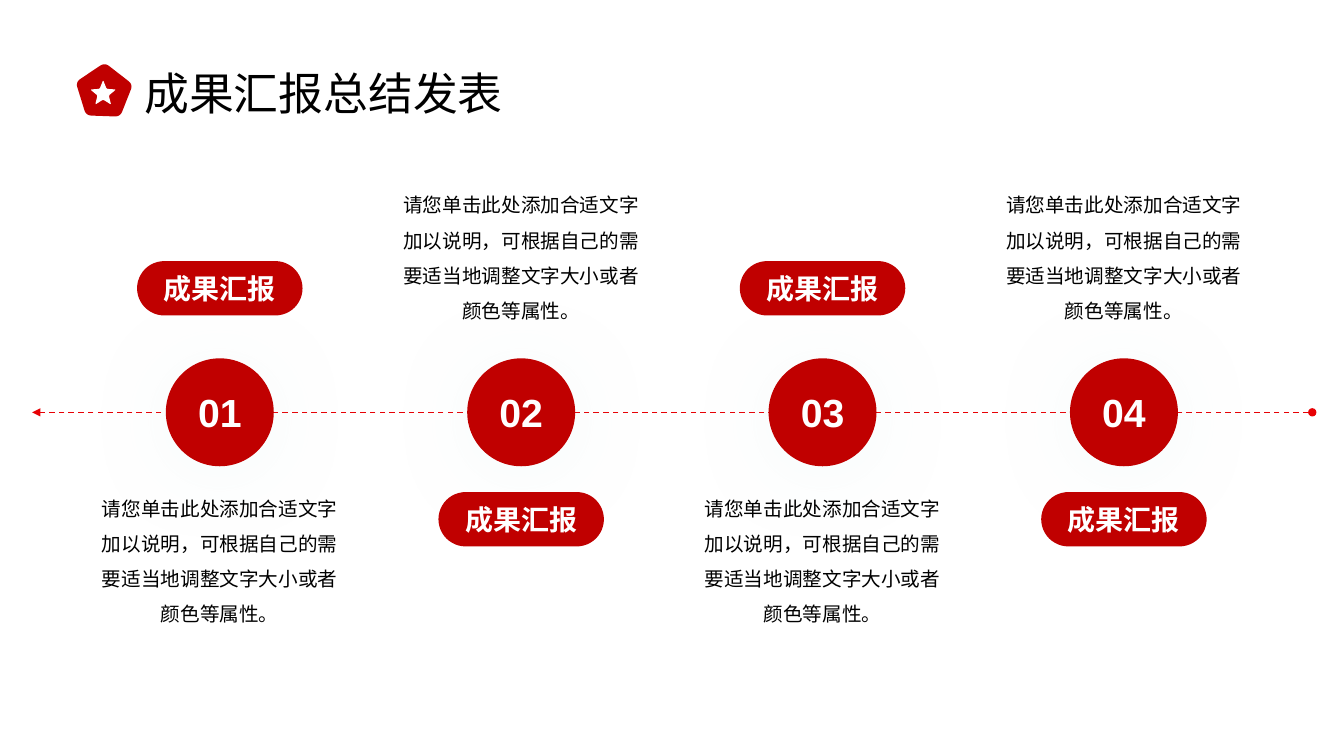
from pptx import Presentation
from pptx.dml.color import RGBColor
from pptx.enum.dml import MSO_LINE
from pptx.enum.shapes import MSO_CONNECTOR, MSO_SHAPE
from pptx.enum.text import MSO_ANCHOR, MSO_AUTO_SIZE, PP_ALIGN
from pptx.oxml import parse_xml
from pptx.oxml.ns import nsdecls, qn
from pptx.util import Cm, Pt
from math import cos, dist, pi, sin

RED = RGBColor(0xC0, 0x00, 0x00)
LINE_RED = RGBColor(0xE7, 0x01, 0x05)
WHITE = RGBColor(0xFF, 0xFF, 0xFF)
BLACK = RGBColor(0x00, 0x00, 0x00)
CENTER, LEFT = PP_ALIGN.CENTER, PP_ALIGN.LEFT
MIDDLE, TOP = MSO_ANCHOR.MIDDLE, MSO_ANCHOR.TOP
OVAL, PILL = MSO_SHAPE.OVAL, MSO_SHAPE.ROUNDED_RECTANGLE

LABEL = "成果汇报"
DETAIL = "请您单击此处添加合适文字加以说明，可根据自己的需要适当地调整文字大小或者颜色等属性。"


def write(box, text, size, color=BLACK, bold=False, align=CENTER, anchor=TOP, spacing=1.0):
    frame = box.text_frame
    frame.word_wrap = True
    frame.auto_size = MSO_AUTO_SIZE.NONE
    frame.vertical_anchor = anchor
    para = frame.paragraphs[0]
    para.alignment = align
    para.line_spacing = spacing
    span = para.add_run()
    span.text = text
    span.font.name = "Arial"
    span.font.size = Pt(size)
    span.font.bold = bold
    span.font.color.rgb = color


def add_rounded_polygon(corners, radius, fill):
    """Draw a polygon in cm whose corners are softened by short curves."""
    points = []
    for i, (x, y) in enumerate(corners):
        before, after = corners[i - 1], corners[(i + 1) % len(corners)]
        start, end = [
            (x + (other[0] - x) * radius / dist(other, (x, y)),
             y + (other[1] - y) * radius / dist(other, (x, y)))
            for other in (before, after)
        ]
        for step in range(7):
            t = step / 6
            weights = ((1 - t) ** 2, 2 * t * (1 - t), t ** 2)
            points.append(tuple(
                sum(w * p[axis] for w, p in zip(weights, (start, (x, y), end)))
                for axis in (0, 1)))
    builder = page.shapes.build_freeform(Cm(points[0][0]), Cm(points[0][1]))
    builder.add_line_segments([(Cm(px), Cm(py)) for px, py in points[1:]], close=True)
    polygon = builder.convert_to_shape()
    polygon.shadow.inherit = False
    polygon.fill.solid()
    polygon.fill.fore_color.rgb = fill
    polygon.line.fill.background()


deck = Presentation()
deck.slide_width, deck.slide_height = Cm(33.87), Cm(19.05)
page = deck.slides.add_slide(deck.slide_layouts[5])

# Title
title = page.shapes.title
title.left, title.top, title.width, title.height = Cm(3.38), Cm(1.52), Cm(9.8), Cm(1.63)
write(title, "成果汇报总结发表", 32, align=LEFT)

# Badge: pentagon with a star
add_rounded_polygon(
    [(2.64, 1.58), (3.35, 2.13), (3.03, 2.94), (2.17, 2.91), (1.91, 2.07)], 0.14, RED)
star = []
for i in range(10):
    reach = 0.15 if i % 2 else 0.34
    star.append((2.6 + reach * sin(i * pi / 5), 2.36 - reach * cos(i * pi / 5)))
add_rounded_polygon(star, 0.04, WHITE)

# Timeline
axis_y = 10.39
timeline = page.shapes.add_connector(
    MSO_CONNECTOR.STRAIGHT, Cm(33.07), Cm(axis_y), Cm(0.81), Cm(axis_y))
timeline.line.color.rgb = LINE_RED
timeline.line.width = Pt(1)
timeline.line.dash_style = MSO_LINE.DASH
outline = timeline.line._get_or_add_ln()
for end, style in (("headEnd", "oval"), ("tailEnd", "triangle")):
    outline.append(parse_xml(f'<a:{end} {nsdecls("a")} type="{style}"/>'))
timeline._element.spPr.append(parse_xml(f'<a:effectLst {nsdecls("a")}/>'))

# Four milestones, labels alternating above and below the line
diameter = 2.72
for i in range(4):
    center = 5.54 + 7.595 * i
    label_top, detail_top = (12.4, 4.45) if i % 2 else (6.58, 12.09)

    for kind, text, size, top, width, height in (
        (OVAL, f"{i + 1:02}", 28, axis_y - diameter / 2, diameter, diameter),
        (PILL, LABEL, 20, label_top, 4.17, 1.37),
    ):
        shape = page.shapes.add_shape(
            kind, Cm(center - width / 2), Cm(top), Cm(width), Cm(height))
        shape.shadow.inherit = False
        shape.fill.solid()
        shape.fill.fore_color.rgb = RED
        shape.line.fill.background()
        write(shape, text, size, color=WHITE, bold=True, anchor=MIDDLE)
        if kind == PILL:
            shape.adjustments[0] = 0.5
        else:
            effects = shape._element.spPr.find(qn("a:effectLst"))
            effects.append(parse_xml(
                f'<a:outerShdw {nsdecls("a")} blurRad="{Pt(60)}" dist="{Pt(5)}" dir="5400000">'
                '<a:srgbClr val="C5E3E3"><a:alpha val="15000"/></a:srgbClr></a:outerShdw>'))

    detail = page.shapes.add_textbox(
        Cm(center - 3.43), Cm(detail_top), Cm(6.86), Cm(3.84))
    write(detail, DETAIL, 14, spacing=1.5)

deck.save("out.pptx")
